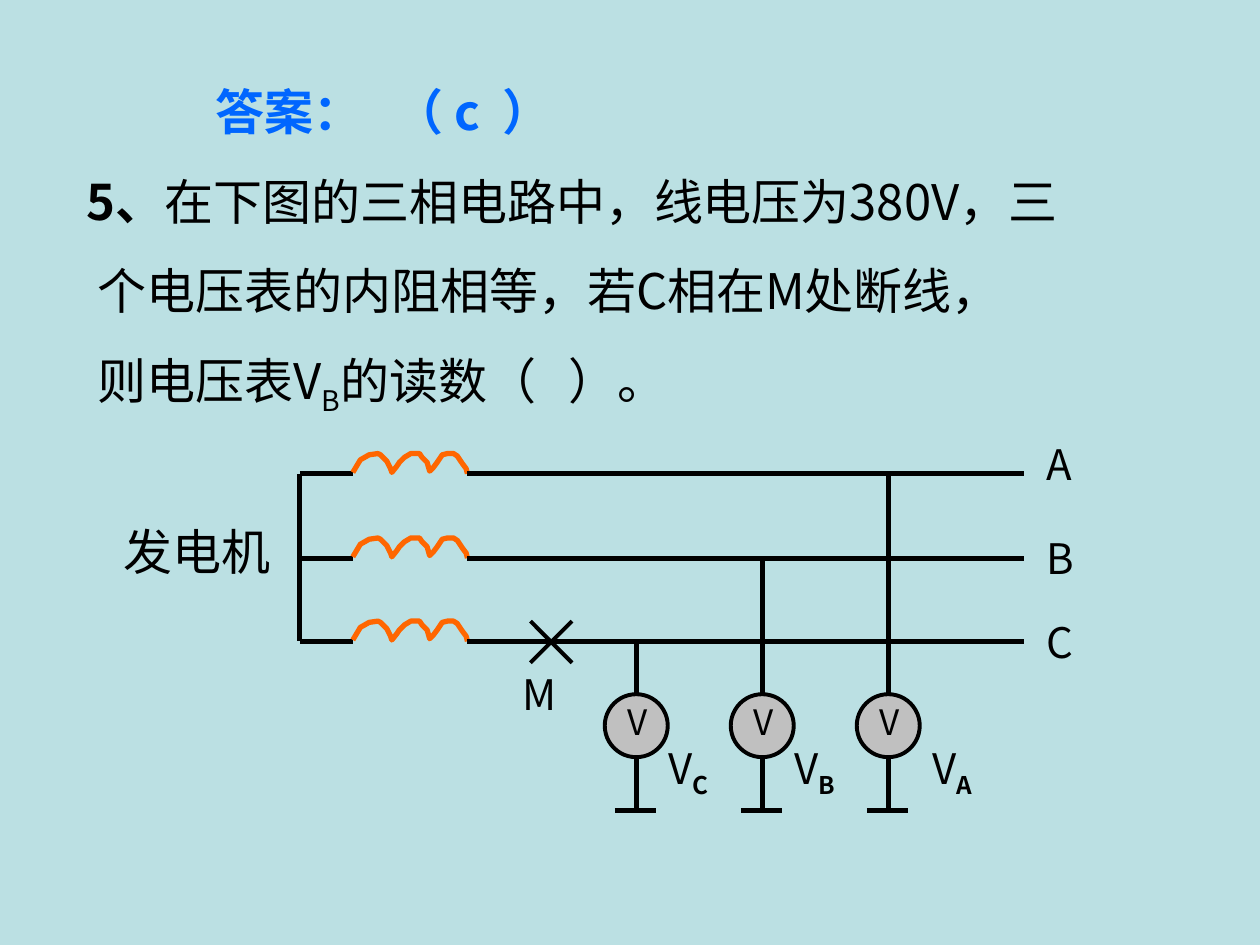
import pptx
import pptx.util
import pptx.dml.color
import pptx.enum.shapes
import pptx.enum.text
import pptx.oxml
import pptx.oxml.ns

Inches = pptx.util.Inches
Pt = pptx.util.Pt
RGBColor = pptx.dml.color.RGBColor

FONT = "Noto Sans CJK JP"
BACK = RGBColor(0xBB, 0xE0, 0xE3)
BLACK = RGBColor(0, 0, 0)
BLUE = RGBColor(0x00, 0x66, 0xFF)
GREY = RGBColor(0xC0, 0xC0, 0xC0)
ORANGE = RGBColor(0xFF, 0x66, 0x00)

# Circuit grid: phase wires, meter columns and ground level
ROWS = {"A": 3.76, "B": 4.43, "C": 5.09}
COLS = {"A": 7.05, "B": 6.05, "C": 5.05}
BUS, COIL, WIRE, END = 2.38, 2.80, 3.71, 8.13
GROUND = 6.43

# Coil outline: x on the slide, height above the wire
TURNS = [
    (2.80, 0.01), (2.83, 0.06), (2.86, 0.11), (2.93, 0.15), (3.00, 0.16),
    (3.02, 0.15), (3.07, 0.10), (3.10, 0.04), (3.11, 0.01), (3.15, 0.06),
    (3.17, 0.09), (3.21, 0.13), (3.26, 0.16), (3.33, 0.16), (3.35, 0.13),
    (3.39, 0.09), (3.41, 0.02), (3.44, 0.05), (3.47, 0.09), (3.51, 0.15),
    (3.55, 0.16), (3.60, 0.16), (3.63, 0.14), (3.67, 0.08), (3.70, 0.04),
    (3.71, 0.00),
]


def add_run(para, text, size, color=BLACK, bold=False, sub=False):
    run = para.add_run()
    run.text = text
    font = run.font
    font.size, font.bold = Pt(size), bold
    font.color.rgb = color
    font.name = FONT
    props = run._r.get_or_add_rPr()
    east = pptx.oxml.parse_xml(
        f'<a:ea {pptx.oxml.ns.nsdecls("a")} typeface="{FONT}"/>')
    props.find(pptx.oxml.ns.qn("a:latin")).addnext(east)
    if sub:
        props.set("baseline", "-25000")


def fill_text(shape, box, lines, size, color=BLACK):
    """Each line is a list of (text, bold, subscript) runs."""
    shape.left, shape.top, shape.width, shape.height = map(Inches, box)
    frame = shape.text_frame
    frame.word_wrap = True
    frame.auto_size = pptx.enum.text.MSO_AUTO_SIZE.NONE
    frame.vertical_anchor = pptx.enum.text.MSO_ANCHOR.TOP
    for i, runs in enumerate(lines):
        para = frame.add_paragraph() if i else frame.paragraphs[0]
        para.alignment = pptx.enum.text.PP_ALIGN.LEFT
        para.space_before = Pt(size * 0.625)
        for text, bold, sub in runs:
            add_run(para, text, size, color, bold, sub)


def add_label(slide, box, runs, size, color=BLACK):
    shape = slide.shapes.add_textbox(0, 0, 0, 0)
    fill_text(shape, box, [runs], size, color)


def add_line(slide, x1, y1, x2, y2, width=3):
    line = slide.shapes.add_connector(
        pptx.enum.shapes.MSO_CONNECTOR.STRAIGHT,
        Inches(x1), Inches(y1), Inches(x2), Inches(y2))
    line.line.color.rgb = BLACK
    line.line.width = Pt(width)
    line._element.spPr.append(pptx.oxml.parse_xml(
        f'<a:effectLst {pptx.oxml.ns.nsdecls("a")}/>'))


def add_coil(slide, y):
    points = [(Inches(x), Inches(y - rise)) for x, rise in TURNS]
    path = slide.shapes.build_freeform(*points[0])
    path.add_line_segments(points[1:], close=False)
    coil = path.convert_to_shape()
    coil.shadow.inherit = False
    coil.fill.background()
    coil.line.color.rgb = ORANGE
    coil.line.width = Pt(3)


def add_phase(slide, y):
    add_line(slide, BUS, y, COIL, y)
    add_coil(slide, y)
    add_line(slide, WIRE, y, END, y)


def add_meter(slide, x, y, name, left):
    # Lead, ground bar, dial and its letters
    add_line(slide, x, y, x, GROUND)
    add_line(slide, x - 0.17, GROUND, x + 0.16, GROUND)
    dial = slide.shapes.add_shape(
        pptx.enum.shapes.MSO_SHAPE.OVAL,
        Inches(x - 0.25), Inches(5.51), Inches(0.5), Inches(0.5))
    dial.shadow.inherit = False
    dial.fill.solid()
    dial.fill.fore_color.rgb = GREY
    dial.line.color.rgb = BLACK
    dial.line.width = Pt(2.25)
    add_label(slide, (x - 0.17, 5.51, 0.33, 0.44), [("V", False, False)], 20)
    add_label(slide, (left, 5.84, 0.7, 0.56),
              [("V", False, False), (name, True, True)], 24)


def add_question(slide):
    body = slide.placeholders[1]
    fill_text(body, (0.59, 1.31, 8.33, 2.05), [
        [("5、", True, False),
         ("在下图的三相电路中，线电压为380V，三", False, False)],
        [(" 个电压表的内阻相等，若C相在M处断线，", False, False)],
        [(" 则电压表V", False, False), ("B", False, True),
         ("的读数（   ）。", False, False)],
    ], 28)
    for para in body.text_frame.paragraphs:
        props = para._p.get_or_add_pPr()
        props.set("marL", "0")
        props.set("indent", "0")
        props.append(pptx.oxml.parse_xml(
            f'<a:buNone {pptx.oxml.ns.nsdecls("a")}/>'))


def main():
    deck = pptx.Presentation()
    deck.slide_width, deck.slide_height = Inches(10), Inches(7.5)
    slide = deck.slides.add_slide(deck.slide_layouts[1])
    slide.background.fill.solid()
    slide.background.fill.fore_color.rgb = BACK

    # Answer and question
    fill_text(slide.shapes.title, (1.61, 0.6, 1.73, 0.57),
              [[("答案：", True, False)]], 28, BLUE)
    add_label(slide, (3.03, 0.6, 2.03, 0.57),
              [("（ c  ）", True, False)], 28, BLUE)
    add_question(slide)

    # Generator and phases
    add_label(slide, (0.88, 4.09, 1.5, 0.57), [("发电机", False, False)], 28)
    add_line(slide, BUS, ROWS["A"], BUS, ROWS["C"])
    for y in ROWS.values():
        add_phase(slide, y)
    for name, top in (("A", 3.43), ("B", 4.18), ("C", 4.84)):
        add_label(slide, (8.21, top, 0.42, 0.5), [(name, False, False)], 24)

    # Voltmeters
    for name, left in (("A", 7.3), ("B", 6.21), ("C", 5.21)):
        add_meter(slide, COLS[name], ROWS[name], name, left)

    # Break at M
    add_line(slide, 4.54, 4.93, 4.21, 5.26, 2.25)
    add_line(slide, 4.21, 4.93, 4.54, 5.26, 2.25)
    add_label(slide, (4.05, 5.26, 0.5, 0.5), [("M", False, False)], 24)

    deck.save("out.pptx")


if __name__ == "__main__":
    main()
